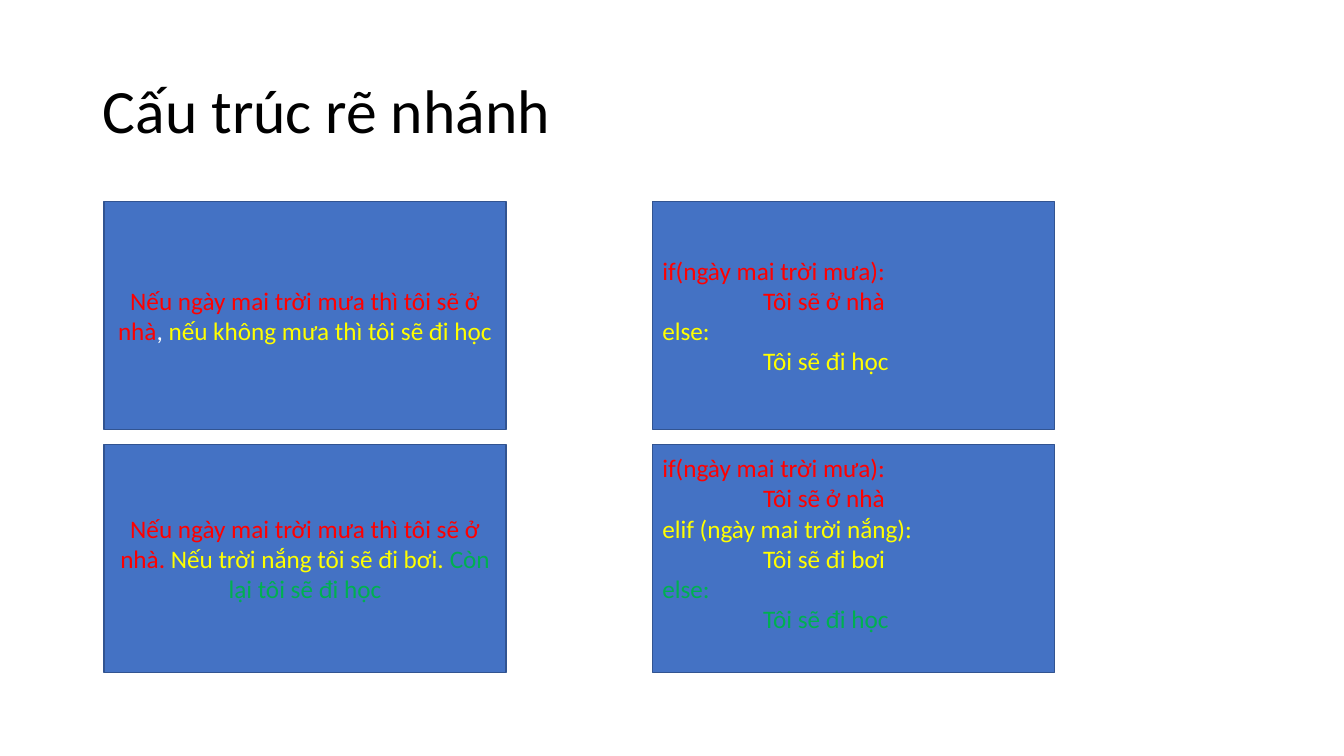
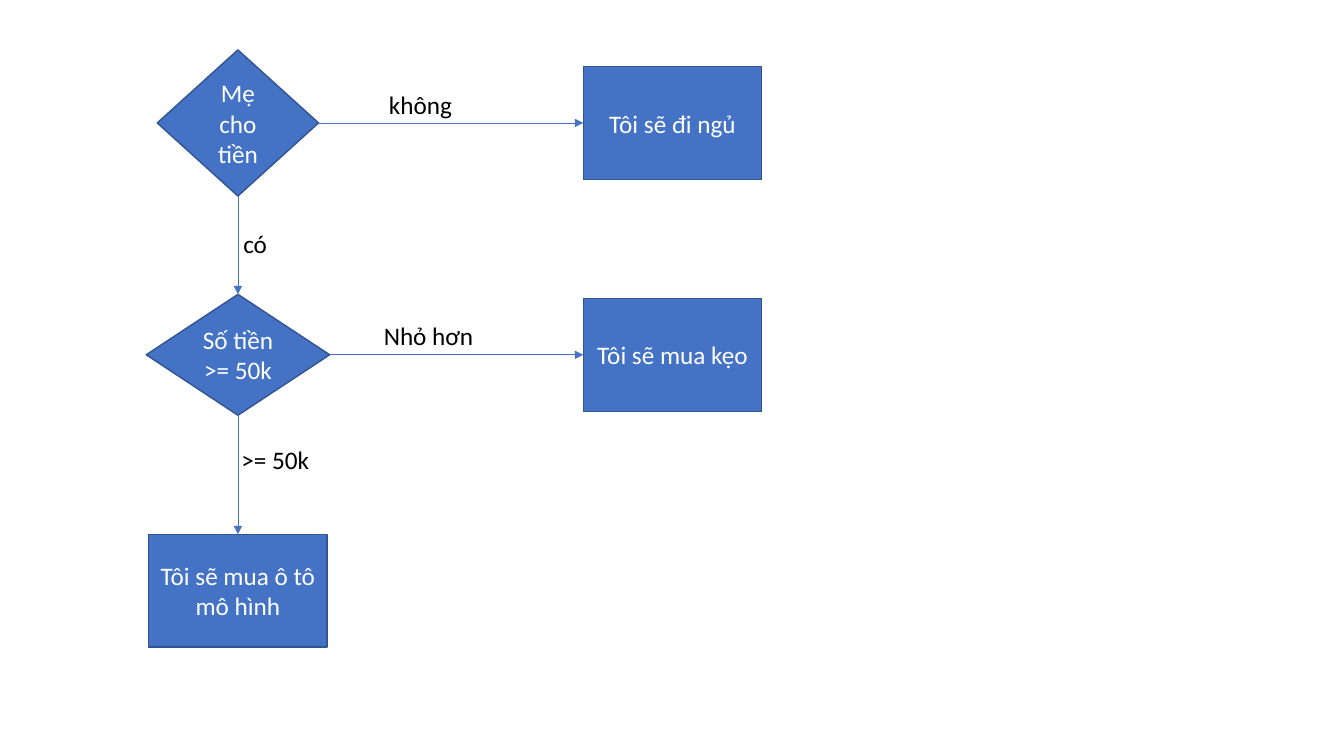
from lxml import etree
from pptx import Presentation
from pptx.dml.color import RGBColor
from pptx.enum.shapes import MSO_CONNECTOR, MSO_SHAPE
from pptx.enum.text import MSO_ANCHOR, MSO_AUTO_SIZE, PP_ALIGN
from pptx.oxml.ns import qn
from pptx.util import Inches, Pt

RECTANGLE, DIAMOND = MSO_SHAPE.RECTANGLE, MSO_SHAPE.DIAMOND
STRAIGHT = MSO_CONNECTOR.STRAIGHT
LEFT, CENTER = PP_ALIGN.LEFT, PP_ALIGN.CENTER
MIDDLE = MSO_ANCHOR.MIDDLE
NO_AUTOFIT = MSO_AUTO_SIZE.NONE

BLUE = RGBColor(0x44, 0x72, 0xC4)
DARK_BLUE = RGBColor(0x32, 0x54, 0x91)
WHITE = RGBColor(0xFF, 0xFF, 0xFF)
BLACK = RGBColor(0x00, 0x00, 0x00)
RED = RGBColor(0xFF, 0x00, 0x00)
YELLOW = RGBColor(0xFF, 0xFF, 0x00)
GREEN = RGBColor(0x00, 0xB0, 0x50)

FONT = "Calibri"
BODY_SIZE, TITLE_SIZE = 18, 44
LINE_HEIGHT = 0.3
CODE_INDENT = 1

TITLE = "Cấu trúc rẽ nhánh"

# Each row: a sentence as (text, colour) parts, its code as
# (condition, action, colour) branches, and the free lines below the code.
EXAMPLES = [
    ([("Nếu ngày mai trời mưa thì tôi sẽ ở nhà", RED), (", ", WHITE),
      ("nếu không mưa thì tôi sẽ đi học", YELLOW)],
     [("if(ngày mai trời mưa):", "Tôi sẽ ở nhà", RED),
      ("else:", "Tôi sẽ đi học", YELLOW)], 0),
    ([("Nếu ngày mai trời mưa thì tôi sẽ ở nhà. ", RED),
      ("Nếu trời nắng tôi sẽ đi bơi. ", YELLOW),
      ("Còn lại tôi sẽ đi học", GREEN)],
     [("if(ngày mai trời mưa):", "Tôi sẽ ở nhà", RED),
      ("elif (ngày mai trời nắng):", "Tôi sẽ đi bơi", YELLOW),
      ("else:", "Tôi sẽ đi học", GREEN)], 1),
]
CARD_WIDTH, CARD_HEIGHT = 3.99, 2.26
SENTENCE_X, CODE_X = 1.03, 6.47
CARDS_TOP, CARD_PITCH = 2, 2.41

# Flowchart grid: centres of the columns and rows.
COLUMNS = (2.36, 6.67)
ROWS = (1.22, 3.52, 5.86)
OUTCOME = (1.77, 1.12)
# name: (text, preset shape, column, row, (width, height))
NODES = {
    "money": ("Mẹ cho tiền", DIAMOND, 0, 0, (1.6, 1.45)),
    "amount": ("Số tiền >= 50k", DIAMOND, 0, 1, (1.82, 1.2)),
    "sleep": ("Tôi sẽ đi ngủ", RECTANGLE, 1, 0, OUTCOME),
    "car": ("Tôi sẽ mua ô tô mô hình", RECTANGLE, 0, 2, OUTCOME),
    "candy": ("Tôi sẽ mua kẹo", RECTANGLE, 1, 1, OUTCOME),
}
# from, to, label, centre of the label
BRANCHES = [
    ("money", "sleep", "không", (4.17, 1.04)),
    ("amount", "candy", "Nhỏ hơn", (4.25, 3.33)),
    ("amount", "car", ">= 50k", (2.73, 4.56)),
    ("money", "amount", "có", (2.53, 2.41)),
]
LABEL = (1.25, 0.38)
TOP_SITE, LEFT_SITE, BOTTOM_SITE, RIGHT_SITE = range(4)


def add_text(paragraph, text, color, size=BODY_SIZE):
    run = paragraph.add_run()
    run.text = text
    run.font.name = FONT
    run.font.size = Pt(size)
    run.font.color.rgb = color


def centered_frame(center, size):
    """Return left, top, width and height around a centre point."""
    (x, y), (width, height) = center, size
    return [Inches(v) for v in (x - width / 2, y - height / 2, width, height)]


def add_box(slide, preset, frame):
    shape = slide.shapes.add_shape(preset, *frame)
    shape.shadow.inherit = False
    shape.fill.solid()
    shape.fill.fore_color.rgb = BLUE
    shape.line.color.rgb = DARK_BLUE
    shape.line.width = Pt(1)
    shape.text_frame.word_wrap = True
    shape.text_frame.vertical_anchor = MIDDLE
    shape.text_frame.paragraphs[0].alignment = CENTER
    return shape


def add_title(slide):
    title = slide.shapes.title
    title.left, title.top, title.width, title.height = (
        Inches(v) for v in (0.92, 0.4, 11.5, 1.45))
    text_frame = title.text_frame
    text_frame.auto_size = NO_AUTOFIT
    text_frame.vertical_anchor = MIDDLE
    paragraph = text_frame.paragraphs[0]
    paragraph.alignment = LEFT
    paragraph.line_spacing = 0.9
    add_text(paragraph, TITLE, BLACK, TITLE_SIZE)


def add_code(text_frame, branches):
    lines = [(text, indent, color) for condition, action, color in branches
             for text, indent in ((condition, 0), (action, CODE_INDENT))]
    for index, (text, indent, color) in enumerate(lines):
        paragraph = text_frame.add_paragraph() if index else text_frame.paragraphs[0]
        paragraph.alignment = LEFT
        paragraph._p.get_or_add_pPr().set("marL", str(Inches(indent)))
        add_text(paragraph, text, color)


def add_arrow(slide, start, end, vertical):
    arrow = slide.shapes.add_connector(STRAIGHT, 0, 0, 0, 0)
    arrow.begin_connect(start, BOTTOM_SITE if vertical else RIGHT_SITE)
    arrow.end_connect(end, TOP_SITE if vertical else LEFT_SITE)
    arrow.line.color.rgb = BLUE
    arrow.line.width = Pt(0.5)
    etree.SubElement(arrow.line._get_or_add_ln(), qn("a:tailEnd"), type="triangle")
    etree.SubElement(arrow._element.spPr, qn("a:effectLst"))


def add_label(slide, text, center):
    label = slide.shapes.add_textbox(*centered_frame(center, LABEL))
    label.text_frame.word_wrap = True
    label.text_frame.vertical_anchor = MIDDLE
    paragraph = label.text_frame.paragraphs[0]
    paragraph.alignment = CENTER
    add_text(paragraph, text, BLACK)


def build_examples(presentation):
    slide = presentation.slides.add_slide(presentation.slide_layouts[5])
    add_title(slide)
    for row, (sentence, branches, free_lines) in enumerate(EXAMPLES):
        sentence_card, code_card = (
            add_box(slide, RECTANGLE, [Inches(v) for v in (
                x, CARDS_TOP + row * CARD_PITCH, CARD_WIDTH, CARD_HEIGHT)])
            for x in (SENTENCE_X, CODE_X))
        for text, color in sentence:
            add_text(sentence_card.text_frame.paragraphs[0], text, color)
        add_code(code_card.text_frame, branches)
        code_card.text_frame.margin_bottom = Inches(0.05 + free_lines * LINE_HEIGHT)


def build_flowchart(presentation):
    slide = presentation.slides.add_slide(presentation.slide_layouts[6])
    boxes = {}
    for name, (text, preset, column, row, size) in NODES.items():
        frame = centered_frame((COLUMNS[column], ROWS[row]), size)
        boxes[name] = add_box(slide, preset, frame)
        add_text(boxes[name].text_frame.paragraphs[0], text, WHITE)
    for start, end, text, center in BRANCHES:
        same_column = NODES[start][2] == NODES[end][2]
        add_arrow(slide, boxes[start], boxes[end], same_column)
        add_label(slide, text, center)


def main():
    presentation = Presentation()
    presentation.slide_width = Inches(13.33)
    presentation.slide_height = Inches(7.5)
    build_examples(presentation)
    build_flowchart(presentation)
    presentation.save("out.pptx")


if __name__ == "__main__":
    main()
